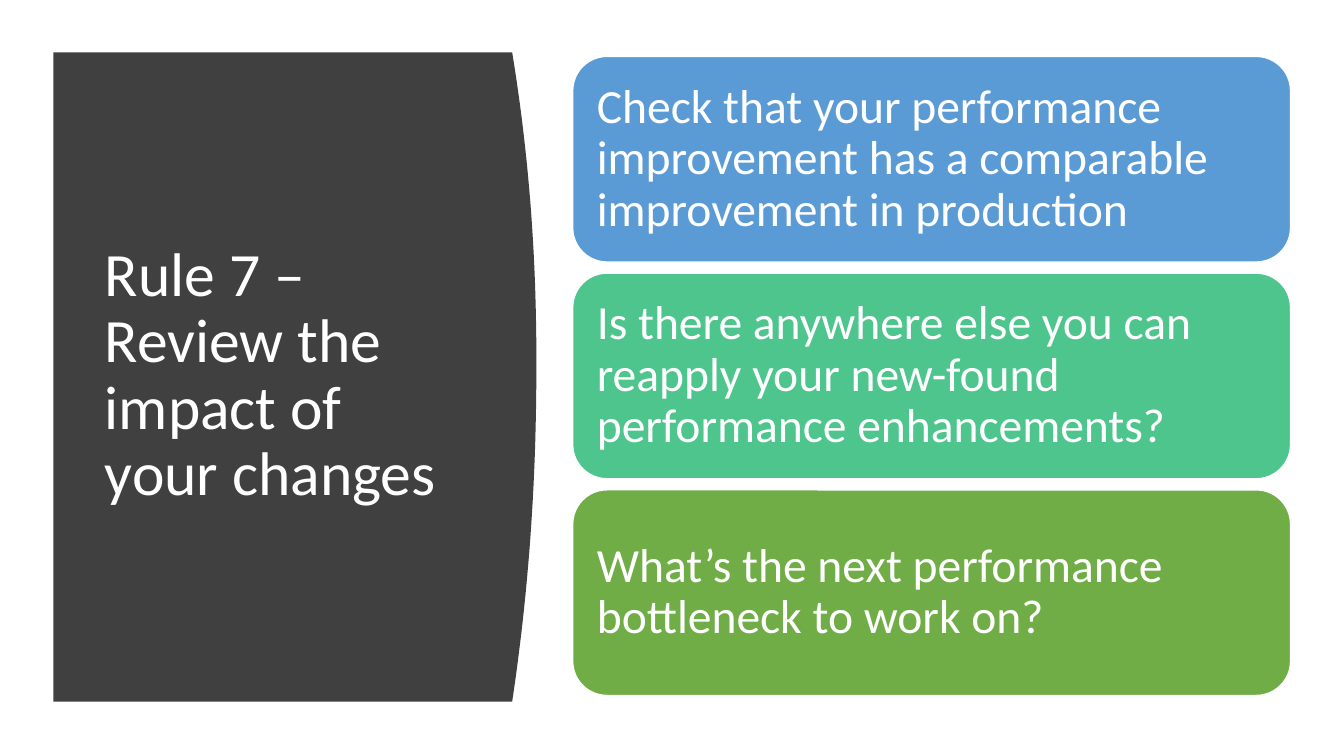
from dataclasses import dataclass

from pptx import Presentation
from pptx.dml.color import RGBColor as RGB
from pptx.enum.shapes import MSO_SHAPE as Shape
from pptx.enum.text import MSO_ANCHOR as Anchor, MSO_AUTO_SIZE as AutoSize, PP_ALIGN as Align
from pptx.util import Emu, Pt

PX = 9144  # one px is a hundredth of an inch


def px(n: float) -> Emu:
    return Emu(round(n * PX))


@dataclass(frozen=True)
class Theme:
    font: str = "Calibri"
    text: RGB = RGB(0xFF, 0xFF, 0xFF)
    panel: RGB = RGB(0x40, 0x40, 0x40)
    blue: RGB = RGB(0x5B, 0x9B, 0xD5)
    teal: RGB = RGB(0x4D, 0xC5, 0x8D)
    green: RGB = RGB(0x70, 0xAD, 0x47)
    title_size: Pt = Pt(44)
    card_size: Pt = Pt(34)


@dataclass(frozen=True)
class Card:
    text: str
    fill: RGB


THEME = Theme()
TITLE = "Rule 7 – Review the impact of your changes"
CARDS = [
    Card("Check that your performance improvement has a comparable improvement in production", THEME.blue),
    Card("Is there anywhere else you can reapply your new-found performance enhancements?", THEME.teal),
    Card("What’s the next performance bottleneck to work on?", THEME.green),
]
CARD_LEFT, CARD_TOP, CARD_W, CARD_H, CARD_PITCH = 568, 56, 712, 204, 215
PANEL_LEFT, PANEL_TOP, PANEL_BOTTOM, PANEL_EDGE = 53, 52, 696, 508
BULGE, BULGE_Y, BULGE_POWER, BULGE_STEPS = 24, 360, 2.1, 48


def write(sp, text: str, size: Pt, inset: int) -> None:
    """Fill a shape with one left-aligned, vertically centred paragraph."""
    tf = sp.text_frame
    margin = px(inset)
    frame_format = {
        "word_wrap": True, "auto_size": AutoSize.NONE, "vertical_anchor": Anchor.MIDDLE,
        "margin_left": margin, "margin_right": margin,
        "margin_top": margin, "margin_bottom": margin,
    }
    for name, value in frame_format.items():
        setattr(tf, name, value)
    p = tf.paragraphs[0]
    p.alignment, p.line_spacing = Align.LEFT, 0.9
    r = p.add_run()
    r.text = text
    for name, value in {"name": THEME.font, "size": size}.items():
        setattr(r.font, name, value)
    r.font.color.rgb = THEME.text


def paint(sp, fill: RGB) -> None:
    sp.shadow.inherit = False
    sp.fill.solid()
    sp.fill.fore_color.rgb = fill


def edge_point(step: int) -> tuple[int, int]:
    """Point on the panel's bowed right edge, counted from the top."""
    y = PANEL_TOP + (PANEL_BOTTOM - PANEL_TOP) * step / BULGE_STEPS
    reach = BULGE_Y - PANEL_TOP if y < BULGE_Y else PANEL_BOTTOM - BULGE_Y
    x = PANEL_EDGE + BULGE * (1 - (abs(y - BULGE_Y) / reach) ** BULGE_POWER)
    return px(x), px(y)


def add_panel(slide):
    outline = slide.shapes.build_freeform(px(PANEL_LEFT), px(PANEL_TOP))
    edge = [edge_point(step) for step in range(BULGE_STEPS + 1)]
    outline.add_line_segments([*edge, (px(PANEL_LEFT), px(PANEL_BOTTOM))], close=True)
    sp = outline.convert_to_shape()
    paint(sp, THEME.panel)
    sp.line.fill.background()
    return sp


def add_card(slide, card: Card, row: int) -> None:
    top = CARD_TOP + row * CARD_PITCH
    sp = slide.shapes.add_shape(Shape.ROUNDED_RECTANGLE, px(CARD_LEFT), px(top), px(CARD_W), px(CARD_H))
    paint(sp, card.fill)
    sp.line.color.rgb = THEME.text
    sp.line.width = Pt(1)
    write(sp, card.text, THEME.card_size, inset=14)


def main() -> None:
    prs = Presentation()
    prs.slide_width, prs.slide_height = px(1333), px(750)
    slide = prs.slides.add_slide(prs.slide_layouts[5])

    # Title in front of the dark panel
    title = slide.shapes.title
    title.element.addprevious(add_panel(slide).element)
    box = {"left": 94, "top": 111, "width": 374, "height": 524}
    for name, value in box.items():
        setattr(title, name, px(value))
    write(title, TITLE, THEME.title_size, inset=10)

    # Column of cards
    for row, card in enumerate(CARDS):
        add_card(slide, card, row)

    prs.save("out.pptx")


if __name__ == "__main__":
    main()
